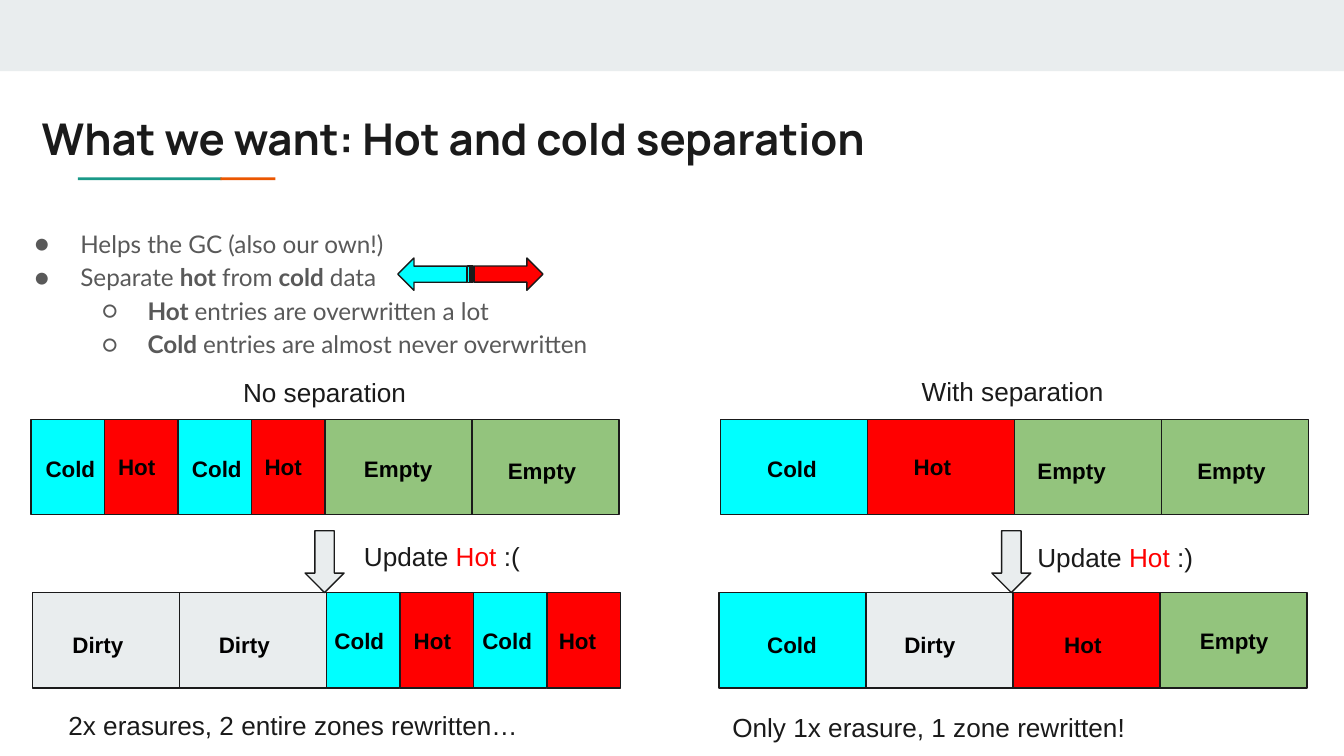
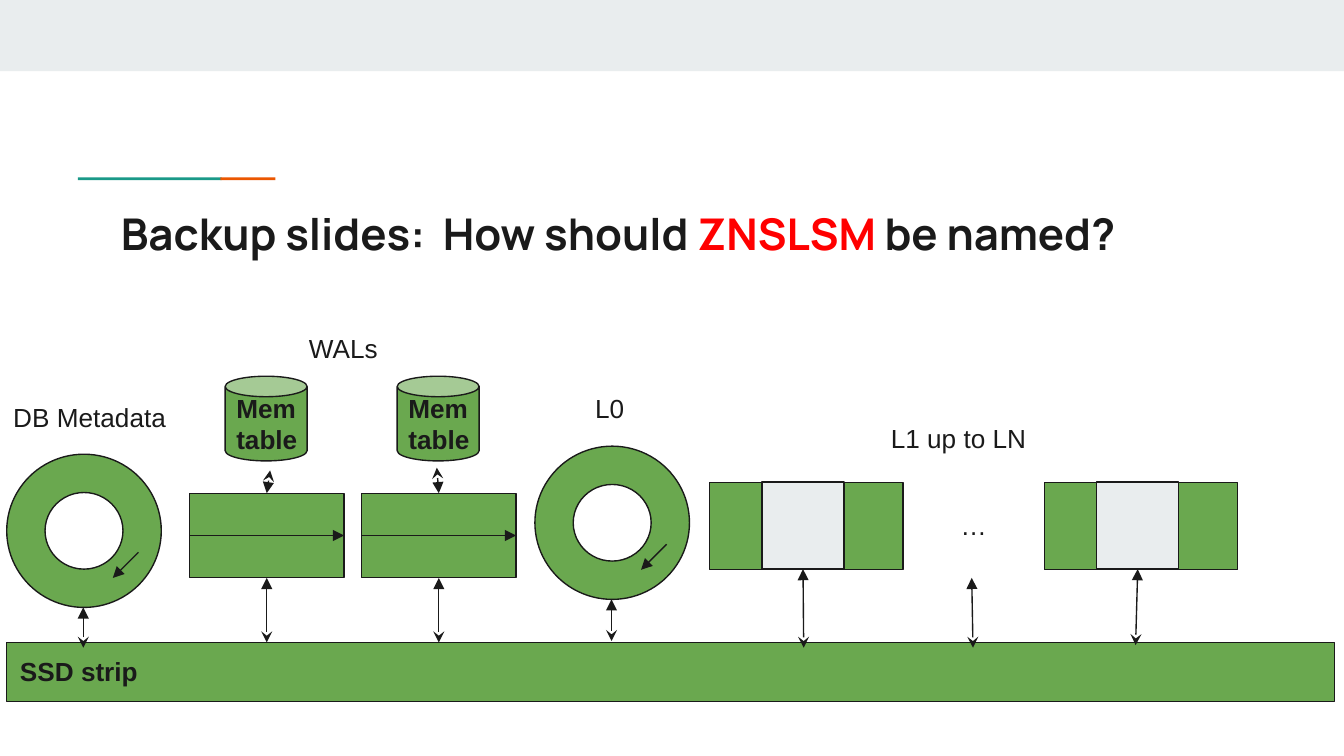
import lxml.etree
import pptx
import pptx.dml.color
import pptx.enum.shapes
import pptx.enum.text
import pptx.oxml.ns
import pptx.util

HUES = {
    "ink": "1A1A1A", "text": "595959", "band": "E9EDEE", "teal": "1A9988",
    "orange": "EB5600", "cold": "00FFFF", "hot": "FF0000", "empty": "93C47D",
    "dirty": "E9EDEE", "green": "6AA84F", "black": "000000",
}
TITLE = {"name": "Manrope", "size": 23.4, "bold": True, "hue": "ink"}
BODY = {"name": "Lato", "size": 13, "bold": False, "hue": "text"}
NOTE = {"name": "Arial", "size": 14, "bold": False, "hue": "ink"}
STRONG = {**NOTE, "bold": True}
MARK = {**STRONG, "size": 12, "hue": "black"}
FORMS = pptx.enum.shapes.MSO_SHAPE
ALIGN = pptx.enum.text.PP_ALIGN
FIT = pptx.enum.text.MSO_AUTO_SIZE
TOP, LEFT, BOTTOM, RIGHT = range(4)


def cell(count):
    """Turn grid columns or rows, ten to the inch, into a length."""
    return pptx.util.Inches(count / 10)


def tint(hue):
    """Look up a named colour."""
    return pptx.dml.color.RGBColor.from_string(HUES[hue])


def node(parent, tag, **values):
    """Add a drawing element with the given attributes."""
    return lxml.etree.SubElement(parent, pptx.oxml.ns.qn(tag), values)


class Deck:
    """Holds the shared style and the current slide."""

    def __init__(self):
        """Start an empty deck of 100 columns."""
        self.file = pptx.Presentation()
        self.file.slide_width = cell(100)
        self.file.slide_height = cell(56.25)
        self.slide = None

    def page(self, left, top, *runs):
        """Start a slide with its band, accent line and title."""
        self.slide = self.file.slides.add_slide(self.file.slide_layouts[5])
        self.shape(0, 0, 100, 5.3, "band", edge=None)
        self.shape(5.8, 13.2, 10.7, 0.2, "teal", edge=None)
        self.shape(16.4, 13.2, 4.1, 0.2, "orange", edge=None)
        title = self.slide.shapes.title
        spots = {"left": left, "top": top, "width": 84.1, "height": 5.9}
        for key, value in spots.items():
            setattr(title, key, cell(value))
        self.frame(title, FIT.NONE)
        self.fill(title.text_frame.paragraphs[0], runs, TITLE)

    def frame(self, box, fit):
        """Set margins, wrapping and anchor of a box."""
        values = dict.fromkeys(
            [f"margin_{side}" for side in ("left", "top", "right", "bottom")], cell(1))
        values.update(word_wrap=True, auto_size=fit,
                      vertical_anchor=pptx.enum.text.MSO_ANCHOR.TOP)
        for key, value in values.items():
            setattr(box.text_frame, key, value)

    def fill(self, para, runs, style, align=ALIGN.LEFT):
        """Fill a paragraph with runs, each a string or a string with changes."""
        para.alignment = align
        for run in runs:
            words, change = (run, {}) if isinstance(run, str) else run
            for index, words in enumerate(words.split("\n")):
                if index:
                    para.add_line_break()
                look = {**style, **change}
                part = para.add_run()
                part.text = words
                part.font.color.rgb = tint(look.pop("hue"))
                look["size"] = pptx.util.Pt(look["size"])
                for key, value in look.items():
                    setattr(part.font, key, value)

    def text(self, left, top, width, height, *runs, style=NOTE, align=ALIGN.LEFT):
        """Add a text box with one paragraph."""
        box = self.slide.shapes.add_textbox(*map(cell, (left, top, width, height)))
        self.frame(box, FIT.SHAPE_TO_FIT_TEXT)
        self.fill(box.text_frame.paragraphs[0], runs, style, align)

    def points(self, left, top, width, height, items):
        """Add a bulleted list of (level, runs)."""
        box = self.slide.shapes.add_textbox(*map(cell, (left, top, width, height)))
        self.frame(box, FIT.NONE)
        for index, (level, runs) in enumerate(items):
            lines = box.text_frame
            para = lines.add_paragraph() if index else lines.paragraphs[0]
            para.level = level
            para.line_spacing = 1.15
            props = para._p.get_or_add_pPr()
            props.set("marL", str(cell(5 + 5 * level)))
            props.set("indent", str(cell(-3.4)))
            node(node(props, "a:buClr"), "a:srgbClr", val=HUES["text"])
            node(props, "a:buFont", typeface="Lato")
            node(props, "a:buChar", char="●○"[level])
            self.fill(para, runs, BODY)

    def shape(self, left, top, width, height, hue, form=FORMS.RECTANGLE, edge="ink", turn=0):
        """Add a filled preset shape."""
        item = self.slide.shapes.add_shape(form, *map(cell, (left, top, width, height)))
        item.shadow.inherit = False
        item.rotation = turn
        item.fill.solid()
        item.fill.fore_color.rgb = tint(hue)
        if edge:
            item.line.color.rgb = tint(edge)
            item.line.width = pptx.util.Pt(0.75)
        else:
            item.line.fill.background()
        return item

    def arrow(self, start, end, head=None, begin=None, finish=None):
        """Draw an arrow, joined to (shape, side) where one is given."""
        line = self.slide.shapes.add_connector(
            pptx.enum.shapes.MSO_CONNECTOR.STRAIGHT, *map(cell, (*start, *end)))
        if begin:
            line.begin_connect(*begin)
        if finish:
            line.end_connect(*finish)
        line.line.color.rgb = tint("ink")
        line.line.width = pptx.util.Pt(0.75)
        edge = line.line._get_or_add_ln()
        if head:
            node(edge, "a:headEnd", type=head)
        node(edge, "a:tailEnd", type="triangle")
        node(line._element.spPr, "a:effectLst")

    def zones(self, left, top, parts):
        """Draw a row of zones from (name, halves, label left, label top)."""
        half = 5.47
        for name, count, *_ in parts:
            self.shape(left, top, half * count, 7.1, name.lower())
            left += half * count
        for name, _, across, down in parts:
            self.text(across, down, 5.9 if name in ("Cold", "Hot") else 8.1, 4,
                      name, style=MARK)


def split(deck):
    """Build the slide on hot and cold separation."""
    bold = {"bold": True}
    deck.page(2.1, 7.3, "What we want: Hot and cold separation")
    deck.points(0, 15.7, 93.2, 16.6, [
        (0, ["Helps the GC (also our own!)"]),
        (0, ["Separate ", ("hot ", bold), "from ", ("cold", bold), " data"]),
        (1, [("Hot", bold), " entries are overwritten a lot"]),
        (1, [("Cold", bold), " entries are almost never overwritten"]),
    ])
    deck.zones(2.3, 31.2, [
        ("Cold", 1, 2.4, 32.9), ("Hot", 1, 7.8, 32.7),
        ("Cold", 1, 13.3, 32.9), ("Hot", 1, 18.7, 32.7),
        ("Empty", 2, 26.1, 32.9), ("Empty", 2, 36.8, 33)])
    deck.zones(53.6, 31.2, [
        ("Cold", 2, 56.1, 32.9), ("Hot", 2, 67, 32.7),
        ("Empty", 2, 76.2, 33), ("Empty", 2, 88.1, 33)])
    deck.zones(2.4, 44.1, [
        ("Dirty", 2, 4.4, 46), ("Dirty", 2, 15.3, 46),
        ("Cold", 1, 23.9, 45.7), ("Hot", 1, 29.8, 45.7),
        ("Cold", 1, 34.9, 45.7), ("Hot", 1, 40.6, 45.7)])
    deck.zones(53.5, 44.1, [
        ("Cold", 2, 56.1, 46), ("Dirty", 2, 66.3, 46),
        ("Hot", 2, 78.2, 46), ("Empty", 2, 88.3, 45.7)])
    sides = [
        (2.4, 27, "No separation", 22.7, 26.1, 39.2, ":(",
         4.1, 51.8, "2x erasures, 2 entire zones rewritten…"),
        (53.6, 26.9, "With separation", 73.8, 76.2, 39.3, ":)",
         53.5, 51.9, "Only 1x erasure, 1 zone rewritten!"),
    ]
    for left, top, head, down, near, high, face, foot, low, result in sides:
        deck.text(left, top, 43.5, 4.4, head, align=ALIGN.CENTER)
        deck.shape(down, 39.5, 2.9, 4.6, "band", FORMS.DOWN_ARROW)
        deck.text(near, high, 15.6, 4.4, "Update ", ("Hot ", {"hue": "hot"}), face)
        deck.text(foot, low, 40.9, 4.4, result)
    for left, hue, turn in ((34.9, "hot", 0), (29.6, "cold", 180)):
        deck.shape(left, 19.2, 5.5, 2.4, hue, FORMS.STRIPED_RIGHT_ARROW, turn=turn)


def backup(deck):
    """Build the slide on the storage layout."""
    deck.page(8, 14.4, "Backup slides:  How should ", ("ZNSLSM", {"hue": "hot"}), " be named?")
    deck.shape(0.5, 47.8, 98.8, 4.4, "green")
    deck.text(0.5, 47.8, 45.8, 4.4, "SSD strip", style=STRONG)
    for left, top, foot in ((0.5, 33.8, 48.2), (39.8, 33.2, 47.7)):
        deck.shape(left, top, 11.5, 11.4, "green", FORMS.DONUT)
        deck.arrow((left + 9.8, top + 7.3), (left + 7.9, top + 9.2))
        deck.arrow((left + 5.7, foot), (left + 5.7, top + 11.4), "stealth")
    for left, start in ((14.1, (20.1, 35)), (26.9, (32.5, 34.8))):
        log = deck.shape(left, 36.7, 11.5, 6.3, "green")
        middle = left + 5.75
        deck.arrow((left, 39.85), (left + 11.5, 39.85), begin=(log, LEFT), finish=(log, RIGHT))
        deck.arrow((middle, 47.8), (middle, 43), "stealth", finish=(log, BOTTOM))
        deck.shape(left + 2.65, 28, 6.1, 6.3, "green", FORMS.CAN)
        deck.text(left + 2.5, 28.2, 7, 6.7, "Mem\ntable", style=STRONG)
        deck.arrow(start, (middle, 36.7), "stealth", finish=(log, TOP))
    for left, start in ((52.8, (59.8, 48.2)), (77.7, (84.5, 48))):
        deck.shape(left, 35.9, 14.4, 6.5, "green")
        table = deck.shape(left + 3.9, 35.85, 6.1, 6.5, "band")
        deck.arrow(start, (left + 6.95, 42.35), "stealth", finish=(table, BOTTOM))
    deck.arrow((72.4, 48.2), (72.3, 43), "stealth")
    deck.text(68, 36.9, 8.9, 4.4, "…", align=ALIGN.CENTER)
    names = [(0, 28.9, 14.4, "DB Metadata"), (22, 23.7, 7.9, "WALs"),
             (43.3, 28.2, 6.4, "L0"), (65.3, 30.4, 31.9, "L1 up to LN")]
    for left, top, width, name in names:
        deck.text(left, top, width, 4.4, name)


def main():
    """Build and save the deck."""
    deck = Deck()
    split(deck)
    backup(deck)
    deck.file.save("out.pptx")


if __name__ == "__main__":
    main()
